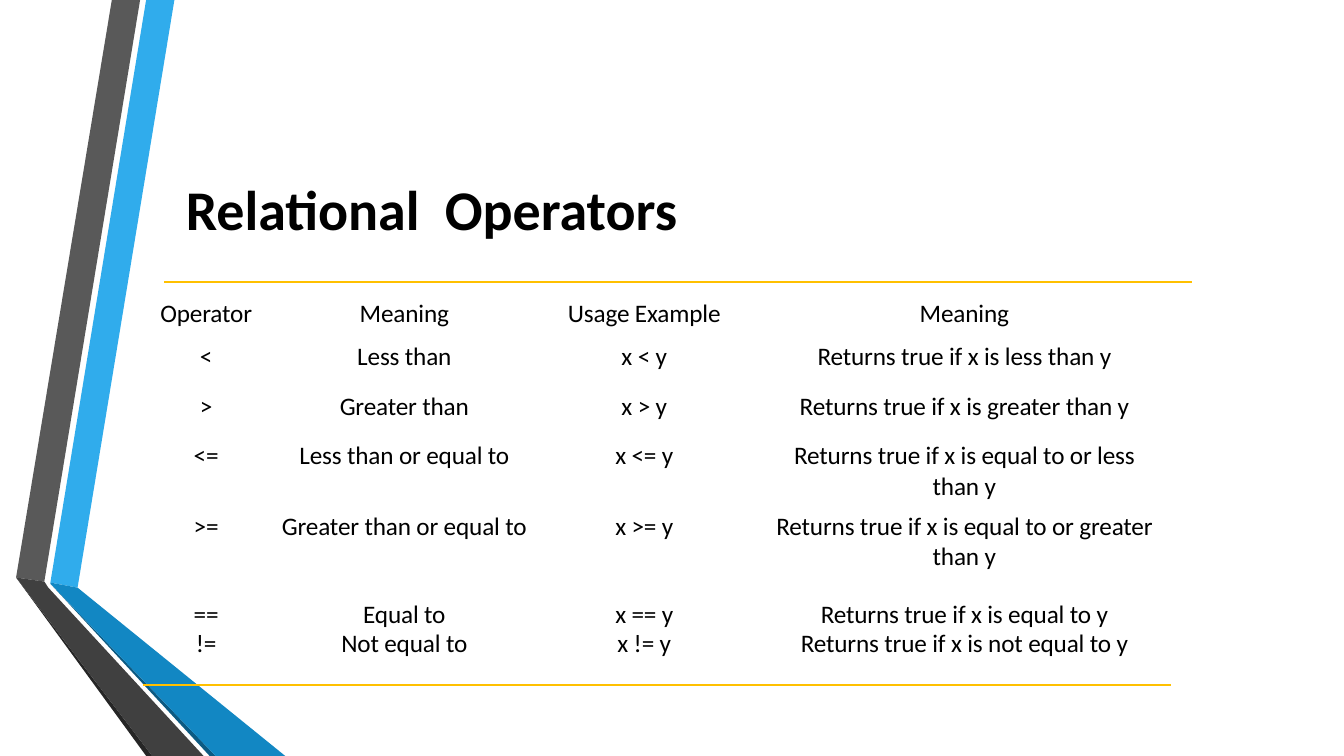
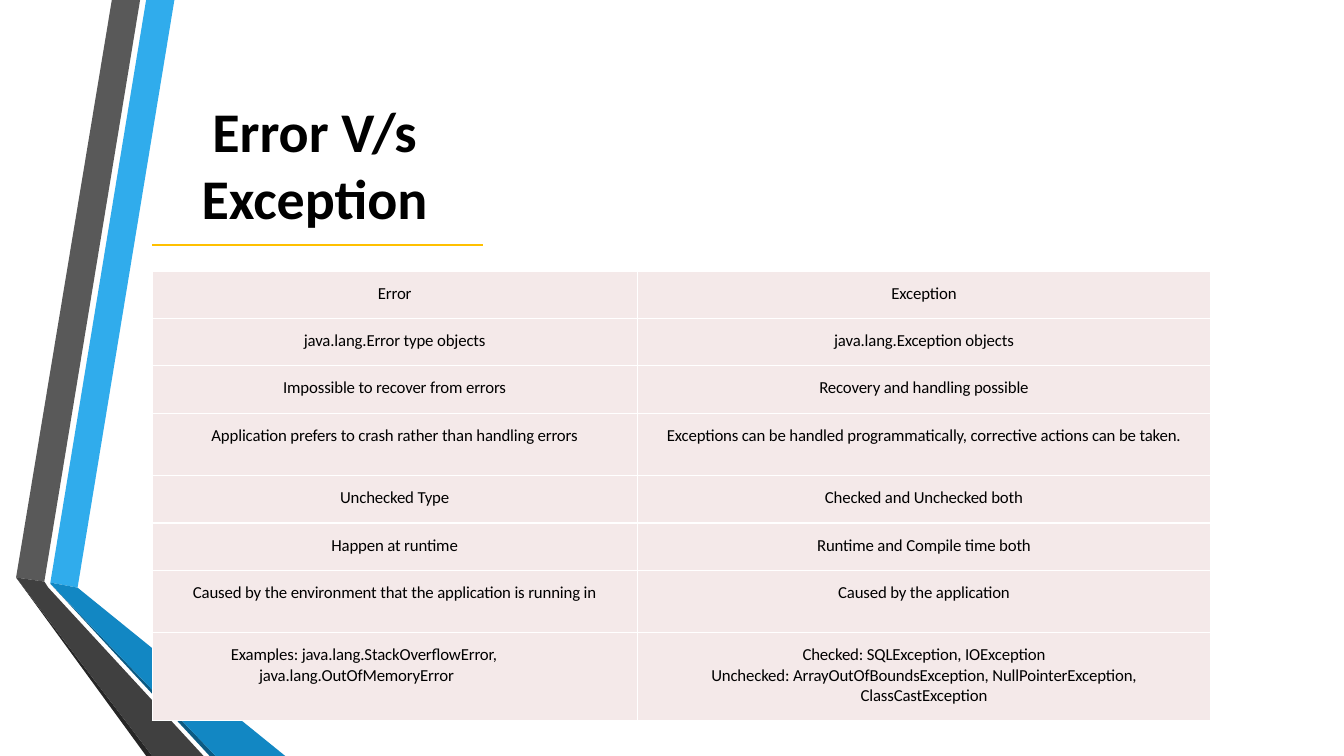
import pptx
import pptx.util
import pptx.dml.color
import pptx.enum.text
import pptx.oxml
import pptx.oxml.ns
import pptx.enum.shapes

Inches, Pt = pptx.util.Inches, pptx.util.Pt
RGB = pptx.dml.color.RGBColor.from_string
ALIGN = pptx.enum.text.PP_ALIGN

# Content
OPERATORS = [
    ("Operator", "Meaning", "Usage Example", "Meaning"),
    ("<", "Less than", "x < y", "Returns true if x is less than y"),
    (">", "Greater than", "x > y", "Returns true if x is greater than y"),
    ("<=", "Less than or equal to", "x <= y", "Returns true if x is equal to or less than y"),
    (">=", "Greater than or equal to", "x >= y", "Returns true if x is equal to or greater than y"),
    ("==", "Equal to", "x == y", "Returns true if x is equal to y"),
    ("!=", "Not equal to", "x != y", "Returns true if x is not equal to y"),
]
ERRORS = [
    ("Error", "Exception"),
    ("java.lang.Error type objects", "java.lang.Exception objects"),
    ("Impossible to recover from errors", "Recovery and handling possible"),
    ("Application prefers to crash rather than handling errors",
     "Exceptions can be handled programmatically, corrective actions can be taken."),
    ("Unchecked Type", "Checked and Unchecked both"),
    ("Happen at runtime", "Runtime and Compile time both"),
    ("Caused by the environment that the application is running in", "Caused by the application"),
    ("Examples: java.lang.StackOverflowError, java.lang.OutOfMemoryError",
     "Checked: SQLException, IOException\n"
     "Unchecked: ArrayOutOfBoundsException, NullPointerException, ClassCastException"),
]
SLIDES = [
    dict(title="Relational  Operators", title_at=(1.32, 1.58, 5.92, 0.8),
         title_top=0.06, title_spacing=Pt(56.1),
         rules=[(1.63, 2.8, 10.19), (1.42, 6.8, 10.19)],
         table=dict(cells=OPERATORS, at=(1.57, 2.68), size="grid",
                    cols=(1.15, 2.65, 2.09, 4.01),
                    rows=(0.61, 0.49, 0.49, 0.7, 0.7, 0.6, 0.34),
                    tops=(0.28, 0.1, 0.1, 0.1, 0.1, 0.28, 0.11),
                    lefts=(0, 0, 0, 0.23), rights=(0.2, 0.07, 0.05, 0.03),
                    paragraphs={(6, c, 0): dict(line_spacing=Pt(11.5)) for c in range(4)})),
    dict(title="Error V/s Exception", title_at=(1.51, 0.8, 3.22, 1.63),
         title_top=0.02, title_spacing=1.0,
         rules=[(1.51, 2.43, 3.28)],
         table=dict(cells=ERRORS, at=(1.51, 2.69), size="comparison",
                    cols=(4.81, 5.69),
                    rows=(0.47, 0.47, 0.47, 0.62, 0.47, 0.47, 0.62, 0.87),
                    tops=(0.12,) * 8, lefts=(0, 0), rights=(0, 0),
                    fill="cell", border="border",
                    paragraphs={(7, 0, 0): dict(alignment=ALIGN.LEFT),
                                (7, 1, 1): dict(alignment=ALIGN.CENTER)},
                    indents={(7, 0, 0): dict(marL=1.06, indent=-0.28),
                             (7, 1, 1): dict(marL=0.51, marR=0.51)})),
]

# Shared look
THEME = dict(
    font="Calibri",
    colors=dict(text="000000", rule="FFC000", cell="F4E9E9", border="FFFFFF"),
    sizes=dict(title=40, grid=18, comparison=12),
    rule_width=1.5, border_width=1, tracking=-10,
)
RIBBONS = [
    ("30ACEC", [(0.5, 5.78), (0.77, 5.83), (1.73, 0), (1.45, 0)]),
    ("595959", [(1.39, 0), (1.11, 0), (0.16, 5.73), (0.44, 5.77)]),
    ("262626", [(0.16, 5.73), (1.45, 7.5), (1.51, 7.5)]),
    ("0C5A82", [(0.5, 5.79), (2.08, 7.5), (2.14, 7.5)]),
    ("1287C3", [(0.5, 5.78), (0.5, 5.79), (2.14, 7.5), (2.83, 7.5), (0.77, 5.83)]),
    ("404040", [(2.02, 7.5), (0.48, 5.83), (0.44, 5.77), (0.16, 5.73), (1.51, 7.5)]),
]


def apply(obj, values):
    for name, value in values.items():
        setattr(obj, name, value)


def style_font(font, size, bold=False):
    apply(font, dict(name=THEME["font"], size=Pt(THEME["sizes"][size]), bold=bold))
    font.color.rgb = RGB(THEME["colors"]["text"])


def add_ribbons(layout, slide):
    """Draw the folded ribbons and move them behind everything on the layout."""
    for i, (color, points) in enumerate(RIBBONS):
        corners = [(Inches(x), Inches(y)) for x, y in points]
        builder = slide.shapes.build_freeform(*corners[0])
        builder.add_line_segments(corners[1:], close=True)
        sp = builder.convert_to_shape()
        sp.shadow.inherit = False
        sp.fill.solid()
        sp.fill.fore_color.rgb = RGB(color)
        sp.line.fill.background()
        layout.shapes.element.insert(2 + i, sp.element)


def set_title(slide, text, at, top, spacing):
    sp = slide.shapes.title
    apply(sp, dict(zip(("left", "top", "width", "height"), map(Inches, at))))
    tf = sp.text_frame
    apply(tf, dict(margin_left=0, margin_right=0, margin_bottom=0, margin_top=Inches(top),
                   word_wrap=True, vertical_anchor=pptx.enum.text.MSO_ANCHOR.MIDDLE,
                   auto_size=pptx.enum.text.MSO_AUTO_SIZE.SHAPE_TO_FIT_TEXT))
    p = tf.paragraphs[0]
    apply(p, dict(alignment=ALIGN.CENTER, line_spacing=spacing))
    r = p.add_run()
    r.text = text
    style_font(r.font, "title", bold=True)


def add_rule(slide, x, y, width):
    line = slide.shapes.add_connector(pptx.enum.shapes.MSO_CONNECTOR.STRAIGHT,
                                      Inches(x), Inches(y), Inches(x + width), Inches(y))
    line.line.color.rgb = RGB(THEME["colors"]["rule"])
    line.line.width = Pt(THEME["rule_width"])
    line.element.spPr.append(pptx.oxml.parse_xml(
        "<a:effectLst %s/>" % pptx.oxml.ns.nsdecls("a")))


def set_borders(cell, color):
    paint = '<a:solidFill><a:srgbClr val="%s"/></a:solidFill>' % color if color else "<a:noFill/>"
    tc_pr = cell._tc.get_or_add_tcPr()
    for i, side in enumerate("LRTB"):
        tc_pr.insert(i, pptx.oxml.parse_xml('<a:ln%s %s w="%d">%s</a:ln%s>' % (
            side, pptx.oxml.ns.nsdecls("a"), Pt(THEME["border_width"]), paint, side)))


def fill_cell(cell, text, row, col, spec):
    apply(cell, dict(margin_left=Inches(spec["lefts"][col]), margin_bottom=0,
                     margin_right=Inches(spec["rights"][col]),
                     margin_top=Inches(spec["tops"][row])))
    if "fill" in spec:
        cell.fill.solid()
        cell.fill.fore_color.rgb = RGB(THEME["colors"][spec["fill"]])
    else:
        cell.fill.background()
    set_borders(cell, THEME["colors"].get(spec.get("border")))
    tf = cell.text_frame
    for i, line in enumerate(text.split("\n")):
        p = tf.add_paragraph() if i else tf.paragraphs[0]
        key = (row, col, i)
        for name, value in spec.get("indents", {}).get(key, {}).items():
            p._p.get_or_add_pPr().set(name, str(Inches(value)))
        apply(p, dict(alignment=ALIGN.CENTER) | spec["paragraphs"].get(key, {}))
        r = p.add_run()
        r.text = line
        style_font(r.font, spec["size"])
        r._r.get_or_add_rPr().set("spc", str(THEME["tracking"]))


def add_grid(slide, spec):
    cols, rows = spec["cols"], spec["rows"]
    left, top = spec["at"]
    table = slide.shapes.add_table(len(rows), len(cols), Inches(left), Inches(top),
                                   Inches(sum(cols)), Inches(sum(rows))).table
    apply(table, dict(first_row=False, horz_banding=False))
    for column, width in zip(table.columns, cols):
        column.width = Inches(width)
    for row, height in zip(table.rows, rows):
        row.height = Inches(height)
    for i, texts in enumerate(spec["cells"]):
        for j, text in enumerate(texts):
            fill_cell(table.cell(i, j), text, i, j, spec)


def main():
    prs = pptx.Presentation()
    apply(prs, dict(slide_width=Inches(13.33), slide_height=Inches(7.5)))
    layout = prs.slide_layouts.get_by_name("Title Only")
    for i, content in enumerate(SLIDES):
        slide = prs.slides.add_slide(layout)
        if i == 0:
            add_ribbons(layout, slide)
        set_title(slide, content["title"], content["title_at"],
                  content["title_top"], content["title_spacing"])
        for rule in content["rules"]:
            add_rule(slide, *rule)
        add_grid(slide, content["table"])
    prs.save("out.pptx")


if __name__ == "__main__":
    main()
